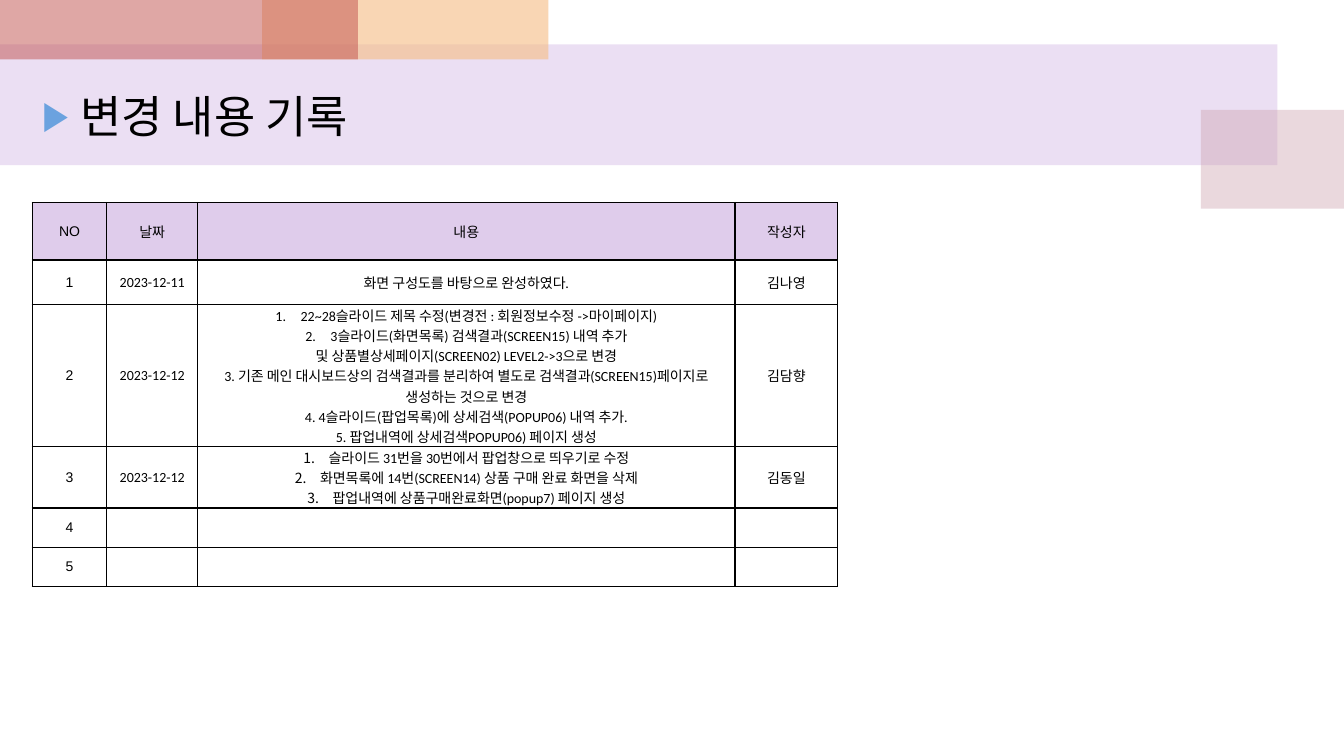
"""Build the change log slide with its colour bands, title and table."""
from lxml.etree import SubElement as Sub
from pptx import Presentation
from pptx.dml.color import RGBColor as RGB
from pptx.enum.shapes import MSO_SHAPE as Shape
from pptx.enum.text import MSO_ANCHOR as Anchor, PP_ALIGN as Align
from pptx.oxml.ns import qn
from pptx.util import Inches, Pt


def paint(fill, color, alpha=100):
    fill.solid()
    fill.fore_color.rgb = RGB.from_string(color)
    if alpha < 100:
        tint = fill._xPr.find(qn("a:solidFill"))[0]
        Sub(tint, qn("a:alpha"), val=str(alpha * 1000))


def write(para, text, size, face):
    run = para.add_run()
    run.text = text
    look = {"size": Pt(size), "name": face, "bold": False}
    for key, val in look.items():
        setattr(run.font, key, val)
    paint(run.font.fill, "000000")


deck = Presentation()
deck.slide_width, deck.slide_height = Inches(13.33), Inches(7.5)
slide = deck.slides.add_slide(deck.slide_layouts[6])

bands = [
    (0, 0.44, 12.67, 1.2, "BF98D8", 30),
    (11.91, 1.09, 1.42, 0.98, "CC9EAC", 40),
    (2.6, 0, 2.84, 0.59, "F5BC83", 60),
    (0, 0, 3.55, 0.59, "C0504D", 50),
]
for *place, color, alpha in bands:
    band = slide.shapes.add_shape(Shape.RECTANGLE, *map(Inches, place))
    band.shadow.inherit = False
    band.line.fill.background()
    paint(band.fill, color, alpha)

title = slide.shapes.add_textbox(*map(Inches, (0.32, 0.83, 6.77, 0.32)))
title.text_frame.word_wrap = True
head = title.text_frame.paragraphs[0]
write(head, "변경 내용 기록", 32, "Calibri")
props = head._p.get_or_add_pPr()
props.set("marL", str(Inches(0.38)))
props.set("indent", str(Inches(-0.38)))
Sub(Sub(props, qn("a:buClr")), qn("a:srgbClr"), val="6BA2DF")
Sub(props, qn("a:buSzPct"), val="90000")
Sub(props, qn("a:buFont"), typeface="Arial")
Sub(props, qn("a:buChar"), char="▶")

edits = [
    "#22~28슬라이드 제목 수정(변경전 : 회원정보수정 ->마이페이지)",
    "#3슬라이드(화면목록) 검색결과(SCREEN15) 내역 추가",
    "및 상품별상세페이지(SCREEN02) LEVEL2->3으로 변경",
    "3. 기존 메인 대시보드상의 검색결과를 분리하여 별도로 검색결과(SCREEN15)페이지로 생성하는 것으로 변경",
    "4. 4슬라이드(팝업목록)에 상세검색(POPUP06) 내역 추가.",
    "5. 팝업내역에 상세검색POPUP06) 페이지 생성",
]
moves = [
    "#슬라이드 31번을 30번에서 팝업창으로 띄우기로 수정",
    "#화면목록에 14번(SCREEN14) 상품 구매 완료 화면을 삭제",
    "#팝업내역에 상품구매완료화면(popup7) 페이지 생성",
]
rows = [
    ("NO", "날짜", "내용", "작성자"),
    ("1", "2023-12-11", "화면 구성도를 바탕으로 완성하였다.", "김나영"),
    ("2", "2023-12-12", "\n".join(edits), "김담향"),
    ("3", "2023-12-12", "\n".join(moves), "김동일"),
    ("4", "", "", ""),
    ("5", "", "", ""),
]
wides = [0.74, 0.9, 5.33, 1.02]
talls = [0.57, 0.44, 1.41, 0.61, 0.39, 0.39]
area = map(Inches, (0.32, 2.01, sum(wides), sum(talls)))
table = slide.shapes.add_table(len(rows), len(wides), *area).table
table.first_row = table.horz_banding = False
for col, wide in zip(table.columns, wides):
    col.width = Inches(wide)
for row, tall in zip(table.rows, talls):
    row.height = Inches(tall)

for r, texts in enumerate(rows):
    for c, text in enumerate(texts):
        cell = table.cell(r, c)
        side = Inches(0.04 if r == 0 or c == 0 else 0.01)
        form = {
            "margin_left": side,
            "margin_right": side,
            "margin_top": Inches(0.01 if c else 0),
            "margin_bottom": 0,
            "vertical_anchor": Anchor.MIDDLE,
        }
        for key, val in form.items():
            setattr(cell, key, val)
        for edge in ("lnL", "lnR", "lnT", "lnB"):
            line = Sub(cell._tc.get_or_add_tcPr(), qn("a:" + edge), w=str(Pt(1)))
            Sub(Sub(line, qn("a:solidFill")), qn("a:srgbClr"), val="000000")
        if r == 0:
            paint(cell.fill, "DFCCEB")
        else:
            cell.fill.background()
        face = "Calibri" if r and c else "Arial"
        for n, part in enumerate(text.split("\n")):
            frame = cell.text_frame
            para = frame.add_paragraph() if n else frame.paragraphs[0]
            para.alignment = Align.CENTER
            if part:
                write(para, part.lstrip("#"), 10, face)
            if part.startswith("#"):
                props = para._p.get_or_add_pPr()
                props.set("marL", str(Inches(0.25)))
                props.set("indent", str(Inches(-0.25)))
                Sub(props, qn("a:buAutoNum"), type="arabicPeriod")

deck.save("out.pptx")
